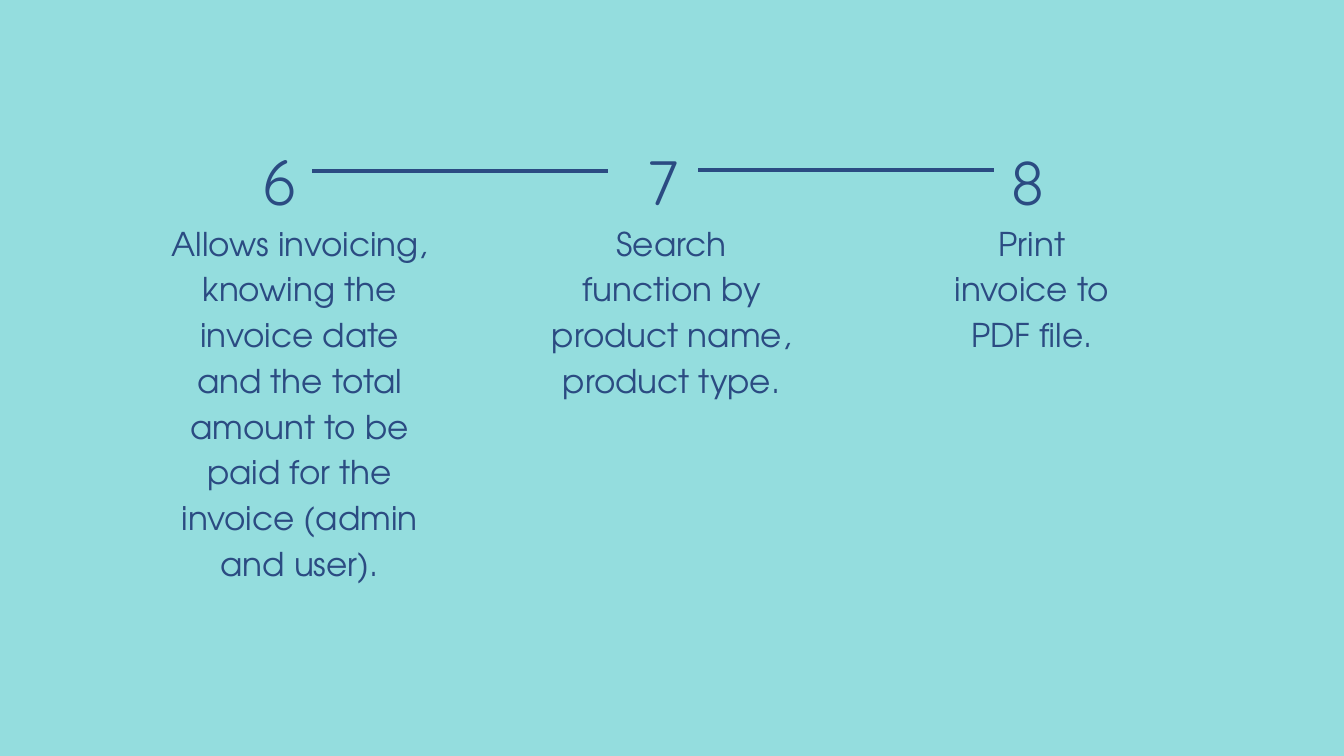
from dataclasses import dataclass

from lxml import etree
from pptx import Presentation
from pptx.dml.color import RGBColor
from pptx.enum.shapes import MSO_CONNECTOR
from pptx.enum.text import MSO_AUTO_SIZE, PP_ALIGN
from pptx.oxml.ns import qn
from pptx.util import Inches, Pt

CENTER = PP_ALIGN.CENTER
GROW = MSO_AUTO_SIZE.SHAPE_TO_FIT_TEXT
STRAIGHT = MSO_CONNECTOR.STRAIGHT

# Grid of square cells: 80 columns by 45 rows
CELL = 0.25
COLUMNS, ROWS = 80, 45

NUMBER_TOP, NUMBER_WIDTH, NUMBER_HEIGHT = 7.76, 4, 4.88
DETAIL_TOP, DETAIL_LINE = 12.92, 2.7
LINK_LENGTH = 17.6


@dataclass(frozen=True)
class TextStyle:
    font: str
    size: float
    leading: float
    tracking: float = 0


@dataclass(frozen=True)
class Theme:
    background: RGBColor = RGBColor(0x94, 0xDD, 0xDE)
    ink: RGBColor = RGBColor(0x2B, 0x4B, 0x82)
    link_width: float = 4.56
    number: TextStyle = TextStyle("Quicksand", 66.9, 93.7, 11.4)
    detail: TextStyle = TextStyle("TeX Gyre Adventor", 35, 49)


@dataclass(frozen=True)
class Feature:
    number: str
    number_center: float
    detail: str
    detail_center: float
    detail_width: float
    detail_lines: int


@dataclass(frozen=True)
class Link:
    start: float
    row: float


THEME = Theme()

FEATURES = (
    Feature("6", 16.6, "Allows invoicing, knowing the invoice date and the total "
            "amount to be paid for the invoice (admin and user).", 17.84, 15.76, 8),
    Feature("7", 39.44, "Search function by product name, product type.",
            39.98, 14.68, 4),
    Feature("8", 61.16, "Print invoice to PDF file.", 61.42, 10.76, 3),
)

# The first link leaves the 6, the second one reaches the 8
LINKS = (
    Link(FEATURES[0].number_center + NUMBER_WIDTH / 2, 10.16),
    Link(FEATURES[2].number_center - NUMBER_WIDTH / 2 - LINK_LENGTH, 10.12),
)


def cells(count: float) -> int:
    return Inches(count * CELL)


def apply(target, values: dict) -> None:
    for name, value in values.items():
        setattr(target, name, value)


def add_text(slide, words: str, center: float, top: float, width: float,
             height: float, style: TextStyle) -> None:
    box = slide.shapes.add_textbox(cells(center - width / 2), cells(top),
                                   cells(width), cells(height))
    frame = box.text_frame
    apply(frame, {"margin_left": 0, "margin_top": 0, "margin_right": 0,
                  "margin_bottom": 0, "word_wrap": True, "auto_size": GROW})
    paragraph = frame.paragraphs[0]
    apply(paragraph, {"alignment": CENTER, "line_spacing": Pt(style.leading)})
    run = paragraph.add_run()
    run.text = words
    apply(run.font, {"name": style.font, "size": Pt(style.size)})
    run.font.color.rgb = THEME.ink
    if style.tracking:
        run._r.get_or_add_rPr().set("spc", str(round(style.tracking * 100)))


def add_feature(slide, feature: Feature) -> None:
    add_text(slide, feature.detail, feature.detail_center, DETAIL_TOP,
             feature.detail_width, feature.detail_lines * DETAIL_LINE, THEME.detail)
    add_text(slide, feature.number, feature.number_center, NUMBER_TOP,
             NUMBER_WIDTH, NUMBER_HEIGHT, THEME.number)


def add_link(slide, link: Link) -> None:
    line = slide.shapes.add_connector(
        STRAIGHT, cells(link.start), cells(link.row),
        cells(link.start + LINK_LENGTH), cells(link.row))
    line.line.color.rgb = THEME.ink
    line.line.width = Pt(THEME.link_width)
    etree.SubElement(line._element.spPr, qn("a:effectLst"))


def main() -> None:
    deck = Presentation()
    apply(deck, {"slide_width": cells(COLUMNS), "slide_height": cells(ROWS)})
    slide = deck.slides.add_slide(deck.slide_layouts[6])

    # Background
    fill = slide.background.fill
    fill.solid()
    fill.fore_color.rgb = THEME.background

    # Numbered features
    for feature in FEATURES:
        add_feature(slide, feature)

    # Links between the numbers
    for link in LINKS:
        add_link(slide, link)

    deck.save("out.pptx")


if __name__ == "__main__":
    main()
